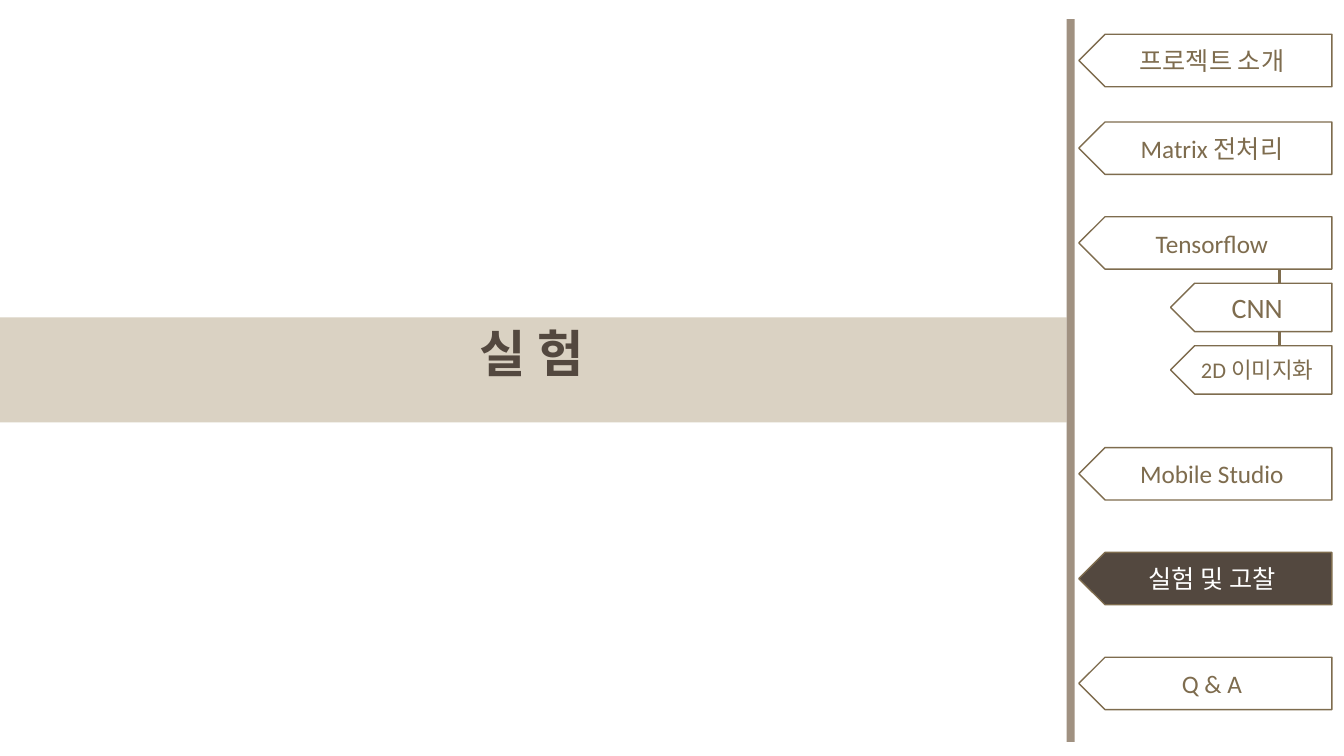
from pptx import Presentation
from pptx.dml.color import RGBColor
from pptx.enum.shapes import MSO_CONNECTOR, MSO_SHAPE
from pptx.enum.text import MSO_ANCHOR, PP_ALIGN
from pptx.oxml.ns import qn
from pptx.util import Inches, Pt
from lxml import etree

BROWN = RGBColor(0x7E, 0x6C, 0x4E)
DARK = RGBColor(0x53, 0x48, 0x3F)
SAND = RGBColor(0xDA, 0xD2, 0xC3)
TAUPE = RGBColor(0xA0, 0x91, 0x81)
WHITE = RGBColor(0xFF, 0xFF, 0xFF)

prs = Presentation()
prs.slide_width, prs.slide_height = Inches(13.33), Inches(7.5)
s = prs.slides.add_slide(prs.slide_layouts[6])


def add_block(kind, x, y, w, h, fill, line=None):
    sp = s.shapes.add_shape(kind, Inches(x), Inches(y), Inches(w), Inches(h))
    sp.shadow.inherit = False
    sp.fill.solid()
    sp.fill.fore_color.rgb = fill
    if line is None:
        sp.line.fill.background()
    else:
        sp.line.color.rgb = line
        sp.line.width = Pt(1)
    return sp


def add_text(sp, text, color, anchor, font):
    tf = sp.text_frame
    tf.word_wrap = True
    tf.vertical_anchor = anchor
    p = tf.paragraphs[0]
    p.alignment = PP_ALIGN.CENTER
    r = p.add_run()
    r.text = text
    r.font.color.rgb = color
    for name, value in font.items():
        setattr(r.font, name, value)


# Title band and vertical divider
band = add_block(MSO_SHAPE.RECTANGLE, -0.04, 3.15, 10.62, 1.04, SAND)
add_text(band, "실 험", DARK, MSO_ANCHOR.TOP,
         {"name": "Arial", "size": Pt(36), "bold": True})
add_block(MSO_SHAPE.RECTANGLE, 10.58, 0.19, 0.08, 7.17, TAUPE)

# Navigation tags, all ending at the same right edge
RIGHT = 13.21
MAIN, SUB = (2.51, 0.52), (1.6, 0.48)
tags = [
    ("프로젝트 소개", 0.34, MAIN, 18),
    ("Matrix 전처리", 1.21, MAIN, 18),
    ("Tensorflow", 2.15, MAIN, 18),
    ("CNN", 2.81, SUB, 20),
    ("2D 이미지화", 3.43, SUB, 16),
    ("Mobile Studio", 4.44, MAIN, 18),
    ("실험 및 고찰", 5.48, MAIN, 18),
    ("Q & A", 6.52, MAIN, 18),
]
CURRENT = "실험 및 고찰"
for text, y, (w, h), size in tags:
    fill, color = (DARK, WHITE) if text == CURRENT else (WHITE, BROWN)
    tag = add_block(MSO_SHAPE.PENTAGON, RIGHT - w, y, w, h, fill, BROWN)
    tag.adjustments[0] = 0.5
    tag._element.spPr.find(qn("a:xfrm")).set("flipH", "1")
    add_text(tag, text, color, MSO_ANCHOR.MIDDLE,
             {"name": "Calibri", "size": Pt(size)})

# Links between Tensorflow and its sub-tags
for top, bottom in [(2.67, 2.81), (3.29, 3.43)]:
    link = s.shapes.add_connector(MSO_CONNECTOR.STRAIGHT, Inches(12.69),
                                  Inches(top), Inches(12.69), Inches(bottom))
    link.line.color.rgb = BROWN
    link.line.width = Pt(2.25)
    etree.SubElement(link._element.spPr, qn("a:effectLst"))

prs.save("out.pptx")
